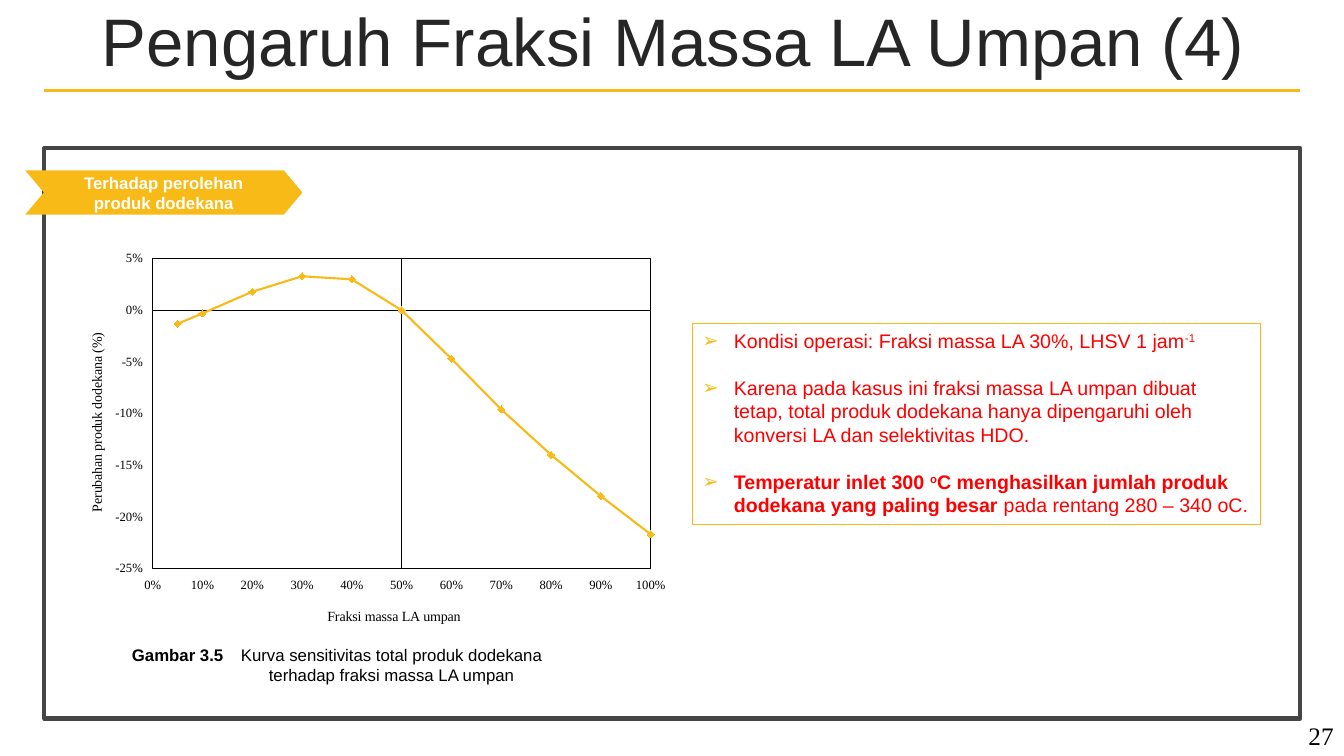
from dataclasses import dataclass

from lxml.etree import SubElement
from pptx import Presentation
from pptx.chart.data import XyChartData
from pptx.dml.color import RGBColor
from pptx.enum.chart import XL_CHART_TYPE, XL_MARKER_STYLE, XL_TICK_LABEL_POSITION, XL_TICK_MARK
from pptx.enum.shapes import MSO_CONNECTOR, MSO_SHAPE
from pptx.enum.text import MSO_ANCHOR, PP_ALIGN
from pptx.oxml import parse_xml
from pptx.oxml.ns import nsdecls, qn
from pptx.util import Pt


@dataclass(frozen=True)
class Theme:
    gold = RGBColor(0xF8, 0xBA, 0x16)
    frame = RGBColor(0x45, 0x45, 0x45)
    heading = RGBColor(0x26, 0x26, 0x26)
    red = RGBColor(0xFF, 0x00, 0x00)
    black = RGBColor(0x00, 0x00, 0x00)
    white = RGBColor(0xFF, 0xFF, 0xFF)
    sans = "Arial"
    serif = "Times New Roman"
    title_size = Pt(48)
    number_size = Pt(18)
    note_size = Pt(14)
    caption_size = Pt(12)
    axis_title_size = Pt(10)
    tick_size = Pt(9)


theme = Theme()


def style_font(font, name, size, color, bold=None):
    font.name, font.size, font.bold = name, size, bold
    font.color.rgb = color


def place(element, position, x, y, width=None, height=None):
    """Fix a chart part by fractions of the chart; position is the layout's child index."""
    for old in element.findall(qn("c:layout")):
        element.remove(old)
    layout = parse_xml(f"<c:layout {nsdecls('c')}/>")
    manual = SubElement(layout, qn("c:manualLayout"))
    settings = [("xMode", "edge"), ("yMode", "edge"), ("x", x), ("y", y)]
    if width:
        settings = [("layoutTarget", "inner"), *settings, ("w", width), ("h", height)]
    for tag, value in settings:
        SubElement(manual, qn(f"c:{tag}")).set("val", str(value))
    element.insert(position, layout)


deck = Presentation()
deck.slide_width, deck.slide_height = Pt(960), Pt(540)
page = deck.slides.add_slide(deck.slide_layouts[6])

# Page number and title
number_box = page.shapes.add_textbox(Pt(908.6), Pt(511.2), Pt(51.1), Pt(28.8))
para = number_box.text_frame.paragraphs[0]
para.text = "27"
para.alignment = PP_ALIGN.RIGHT
style_font(para.font, theme.serif, theme.number_size, theme.black)

title_box = page.shapes.add_textbox(Pt(25.2), Pt(3.6), Pt(911.5), Pt(56.9))
title_box.text_frame.word_wrap = True
title_box.text_frame.vertical_anchor = MSO_ANCHOR.MIDDLE
para = title_box.text_frame.paragraphs[0]
para.text = "Pengaruh Fraksi Massa LA Umpan (4)"
para.alignment = PP_ALIGN.CENTER
para.line_spacing = 0.9
style_font(para.font, theme.sans, theme.title_size, theme.heading)

# Frame and section label
frame = page.shapes.add_shape(MSO_SHAPE.RECTANGLE, Pt(31.7), Pt(105.8), Pt(897.1), Pt(407.5))
frame.shadow.inherit = False
frame.fill.background()
frame.line.color.rgb = theme.frame
frame.line.width = Pt(3)

label = page.shapes.add_shape(MSO_SHAPE.CHEVRON, Pt(18), Pt(121.7), Pt(198), Pt(31.7))
label.adjustments[0] = 0.42
label.shadow.inherit = False
label.fill.solid()
label.fill.fore_color.rgb = theme.gold
label.line.fill.background()
label.text_frame.vertical_anchor = MSO_ANCHOR.MIDDLE
para = label.text_frame.paragraphs[0]
para.text = "Terhadap perolehan produk dodekana"
para.alignment = PP_ALIGN.CENTER
style_font(para.font, theme.sans, theme.caption_size, theme.white, True)

# Figure caption with a hanging indent
caption = page.shapes.add_textbox(Pt(67.7), Pt(457.2), Pt(346.3), Pt(36))
caption.text_frame.word_wrap = True
para = caption.text_frame.paragraphs[0]
para.alignment = PP_ALIGN.CENTER
properties = para._p.get_or_add_pPr()
properties.set("marL", str(Pt(77.8)))
properties.set("indent", str(-Pt(77.8)))
style_font(para.font, theme.sans, theme.caption_size, theme.black)
for text, bold in [
    ("Gambar 3.5\t", True),
    ("Kurva sensitivitas total produk dodekana terhadap fraksi massa LA umpan", False),
]:
    span = para.add_run()
    span.text = text
    span.font.bold = bold

# Notes: each run is (text, bold, superscript)
notes = [
    [("Kondisi operasi: Fraksi massa LA 30%, LHSV 1 jam", False, False), ("-1", False, True)],
    [("Karena pada kasus ini fraksi massa LA umpan dibuat tetap, total produk dodekana "
      "hanya dipengaruhi oleh konversi LA dan selektivitas HDO.", False, False)],
    [("Temperatur inlet 300 ", True, False), ("o", True, True),
     ("C menghasilkan jumlah produk dodekana yang paling besar ", True, False),
     ("pada rentang 280 – 340 oC.", False, False)],
]
note_box = page.shapes.add_shape(MSO_SHAPE.RECTANGLE, Pt(494.6), Pt(231.1), Pt(406.1), Pt(143.3))
note_box.shadow.inherit = False
note_box.fill.background()
note_box.line.color.rgb = theme.gold
note_box.line.width = Pt(0.75)
note_box.text_frame.vertical_anchor = MSO_ANCHOR.TOP
for index, runs in enumerate(notes):
    para = note_box.text_frame.paragraphs[0] if index == 0 else note_box.text_frame.add_paragraph()
    para.alignment = PP_ALIGN.LEFT
    if index:
        para.space_before = Pt(16.8)
    properties = para._p.get_or_add_pPr()
    properties.set("marL", str(Pt(22.5)))
    properties.set("indent", str(-Pt(22.5)))
    bullet_color = SubElement(properties, qn("a:buClr"))
    SubElement(bullet_color, qn("a:srgbClr")).set("val", str(theme.gold))
    SubElement(properties, qn("a:buFont")).set("typeface", theme.sans)
    SubElement(properties, qn("a:buChar")).set("char", "➢")
    style_font(para.font, theme.sans, theme.note_size, theme.red)
    for text, bold, superscript in runs:
        span = para.add_run()
        span.text = text
        span.font.bold = bold
        if superscript:
            span._r.get_or_add_rPr().set("baseline", "30000")

# Rule under the title
rule = page.shapes.add_connector(MSO_CONNECTOR.STRAIGHT, Pt(31.7), Pt(64.8), Pt(928.8), Pt(64.8))
rule.line.color.rgb = theme.gold
rule.line.width = Pt(2.25)
SubElement(rule._element.spPr, qn("a:effectLst"))

# Sensitivity curve
fractions = [0.05, 0.1, 0.2, 0.3, 0.4, 0.5, 0.6, 0.7, 0.8, 0.9, 1]
changes = [-0.013, -0.003, 0.018, 0.033, 0.03, 0, -0.047, -0.096, -0.14, -0.18, -0.217]
data = XyChartData()
curve_data = data.add_series("Series 1")
for fraction, change in zip(fractions, changes):
    curve_data.add_data_point(fraction, change)
chart = page.shapes.add_chart(XL_CHART_TYPE.XY_SCATTER_LINES, Pt(43.2), Pt(173.5),
                              Pt(439.2), Pt(283.7), data).chart
chart.has_legend = False
chart.has_title = False
style_font(chart.font, theme.serif, theme.axis_title_size, theme.black)

for axis, title, low, high, step, crossing, x, y in [
    (chart.category_axis, "Fraksi massa LA umpan", 0, 1, 0.1, 0.5, 0.43, 0.91),
    (chart.value_axis, "Perubahan produk dodekana (%)", -0.25, 0.05, 0.05, 0, 0.04, 0.22),
]:
    axis.minimum_scale, axis.maximum_scale, axis.major_unit = low, high, step
    axis.crosses_at = crossing
    axis.has_major_gridlines = False
    axis.major_tick_mark = axis.minor_tick_mark = XL_TICK_MARK.NONE
    axis.tick_label_position = XL_TICK_LABEL_POSITION.LOW
    axis.tick_labels.number_format = "0%"
    axis.tick_labels.number_format_is_linked = False
    style_font(axis.tick_labels.font, theme.serif, theme.tick_size, theme.black)
    axis.format.line.color.rgb = theme.black
    axis.format.line.width = Pt(0.75)
    para = axis.axis_title.text_frame.paragraphs[0]
    para.text = title
    style_font(para.font, theme.serif, theme.axis_title_size, theme.black, False)
    place(axis.axis_title._element, 1, x, y)

plot = chart.plots[0]
plot.vary_by_categories = False
curve = plot.series[0]
curve.format.line.color.rgb = theme.gold
curve.format.line.width = Pt(1.5)
curve.marker.style = XL_MARKER_STYLE.DIAMOND
curve.marker.size = 5
curve.marker.format.fill.solid()
curve.marker.format.fill.fore_color.rgb = theme.gold
curve.marker.format.line.color.rgb = theme.gold

plot_area = chart._chartSpace.chart.plotArea
place(plot_area, 0, 0.15, 0.04, 0.81, 0.78)
plot_area.append(parse_xml(
    f'<c:spPr {nsdecls("c", "a")}><a:noFill/><a:ln w="{Pt(0.75)}"><a:solidFill>'
    f'<a:srgbClr val="{theme.black}"/></a:solidFill></a:ln></c:spPr>'))

deck.save("out.pptx")
